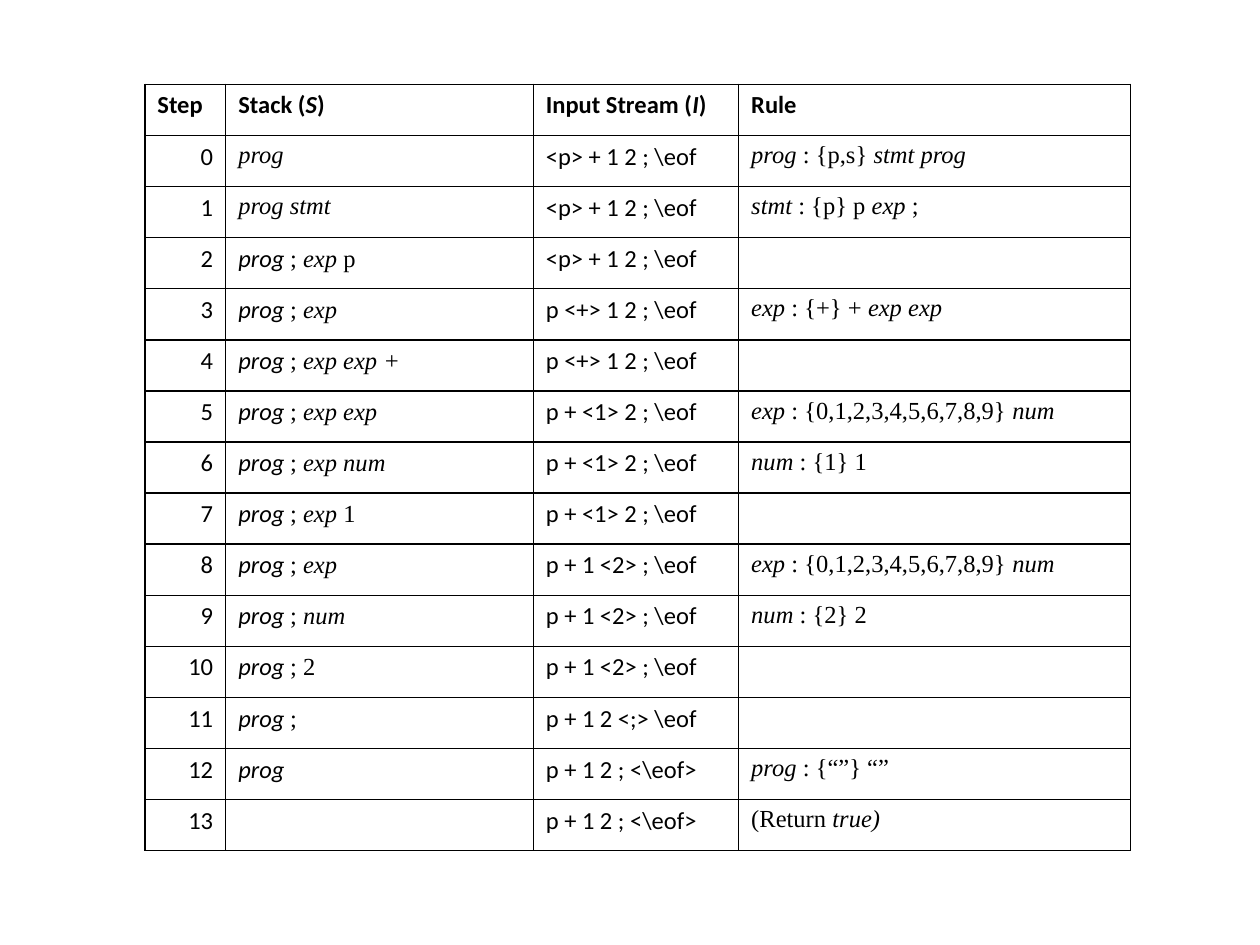
import pptx
import pptx.dml.color
import pptx.enum.text
import pptx.oxml
import pptx.oxml.ns
import pptx.util
from pptx.util import Cm

BLACK = pptx.dml.color.RGBColor(0, 0, 0)
SANS = "Calibri"
SERIF = "Times New Roman"
ITALIC_MARK = "*"
COLUMN_SHARES = (1.63, 6.2, 4.14, 7.9)
HEADINGS = ("Step", "Stack (*S*)", "Input Stream (*I*)", "Rule")
DIGIT_RULE = "*exp *: {0,1,2,3,4,5,6,7,8,9} *num*"

PARSE_STEPS = (
    ("", "*prog*", r"<p> + 1 2 ; \eof", "*prog *: {p,s} *stmt prog*"),
    ("", "*prog stmt*", r"<p> + 1 2 ; \eof", "*stmt *: {p} p *exp *;"),
    ("*prog *", "; *exp *p", r"<p> + 1 2 ; \eof", ""),
    ("*prog *", "; *exp*", r"p <+> 1 2 ; \eof", "*exp *: {+} + *exp exp*"),
    ("*prog *", "; *exp exp +*", r"p <+> 1 2 ; \eof", ""),
    ("*prog *", "; *exp exp*", r"p + <1> 2 ; \eof", DIGIT_RULE),
    ("*prog *", "; *exp num*", r"p + <1> 2 ; \eof", "*num *: {1} 1"),
    ("*prog *", "; *exp *1", r"p + <1> 2 ; \eof", ""),
    ("*prog *", "; *exp*", r"p + 1 <2> ; \eof", DIGIT_RULE),
    ("*prog *", "; *num*", r"p + 1 <2> ; \eof", "*num *: {2} 2"),
    ("*prog *", "; 2", r"p + 1 <2> ; \eof", ""),
    ("*prog *", ";", r"p + 1 2 <;> \eof", ""),
    ("*prog*", "", r"p + 1 2 ; <\eof>", "*prog *: {“”} “”"),
    ("", "", r"p + 1 2 ; <\eof>", "(Return *true)*"),
)


def add_runs(paragraph, marked_text, font_name, bold=False):
    for index, piece in enumerate(marked_text.split(ITALIC_MARK)):
        if piece:
            run = paragraph.add_run()
            run.text = piece
            run.font.name = font_name
            run.font.size = pptx.util.Pt(14)
            run.font.bold = bold
            run.font.italic = index % 2 == 1
            run.font.color.rgb = BLACK


def frame_cell(cell):
    properties = cell._tc.get_or_add_tcPr()
    for side in ("lnL", "lnR", "lnT", "lnB"):
        properties.append(pptx.oxml.parse_xml(
            f'<a:{side} {pptx.oxml.ns.nsdecls("a")} w="12700">'
            f'<a:solidFill><a:srgbClr val="{BLACK}"/></a:solidFill></a:{side}>'
        ))
    cell.fill.background()


def add_parse_trace(slide, left, top, width, height):
    row_count = len(PARSE_STEPS) + 1
    trace = slide.shapes.add_table(
        row_count, len(HEADINGS), left, top, width, height
    ).table
    trace.first_row = False
    trace.horz_banding = False
    for column, share in zip(trace.columns, COLUMN_SHARES):
        column.width = int(width * share / sum(COLUMN_SHARES))
    for row in trace.rows:
        row.height = height // row_count
    for cell in trace.iter_cells():
        frame_cell(cell)

    for column, heading in enumerate(HEADINGS):
        add_runs(trace.cell(0, column).text_frame.paragraphs[0], heading, SANS, True)
    for step, (stack_base, stack_top, stream, rule) in enumerate(PARSE_STEPS):
        step_line, stack_line, stream_line, rule_line = (
            trace.cell(step + 1, column).text_frame.paragraphs[0]
            for column in range(len(HEADINGS))
        )
        step_line.alignment = pptx.enum.text.PP_ALIGN.RIGHT
        add_runs(step_line, str(step), SANS)
        add_runs(stack_line, stack_base, SANS)
        add_runs(stack_line, stack_top, SERIF)
        add_runs(stream_line, stream, SANS)
        add_runs(rule_line, rule, SERIF)


def main():
    deck = pptx.Presentation()
    deck.slide_width = Cm(25.4)
    deck.slide_height = Cm(19.05)
    slide = deck.slides.add_slide(deck.slide_layouts[6])
    add_parse_trace(slide, Cm(2.92), Cm(1.7), Cm(19.87), Cm(15.45))
    deck.save("out.pptx")


if __name__ == "__main__":
    main()
